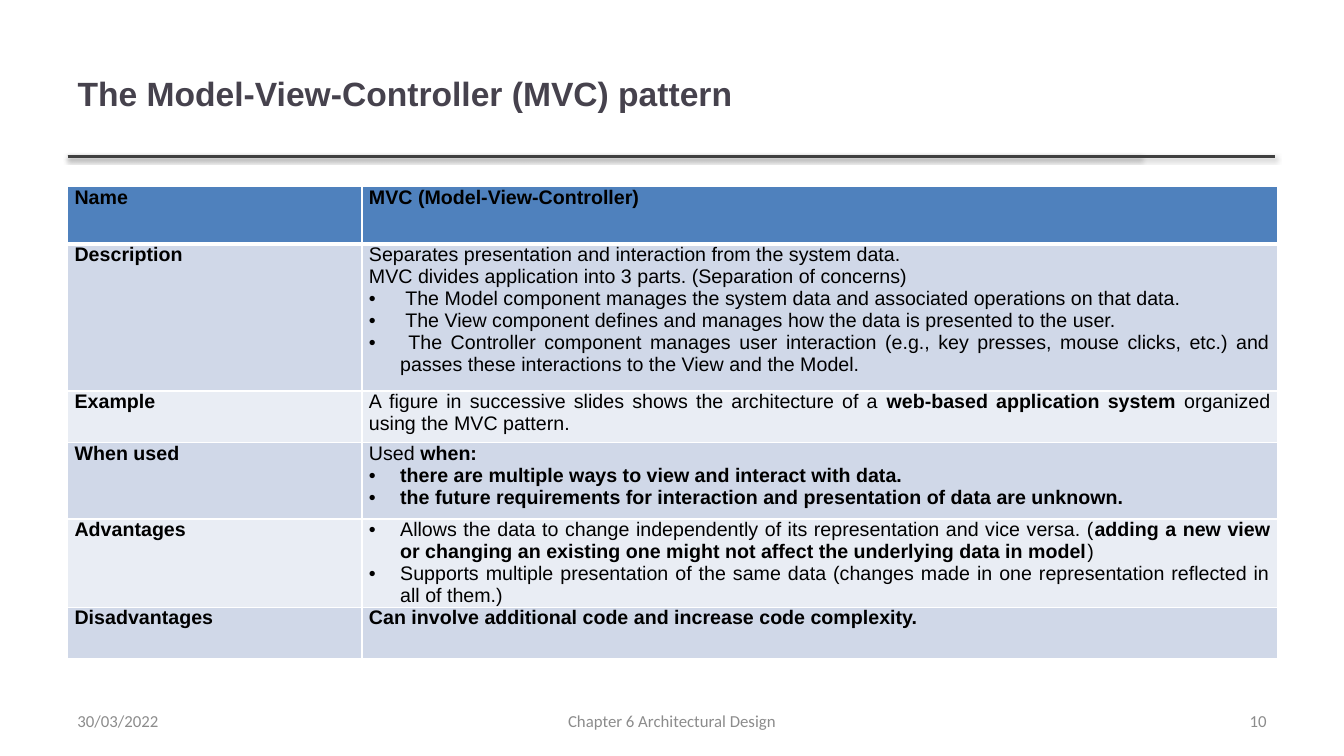
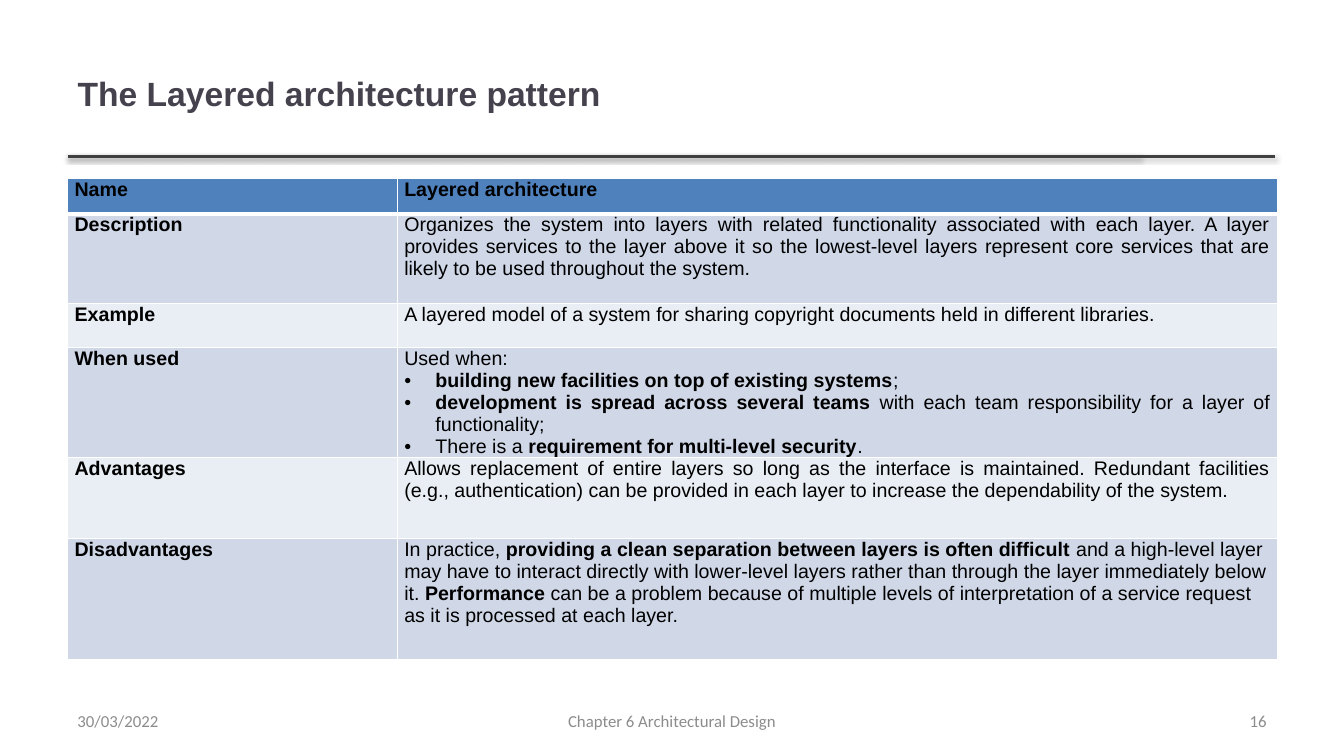
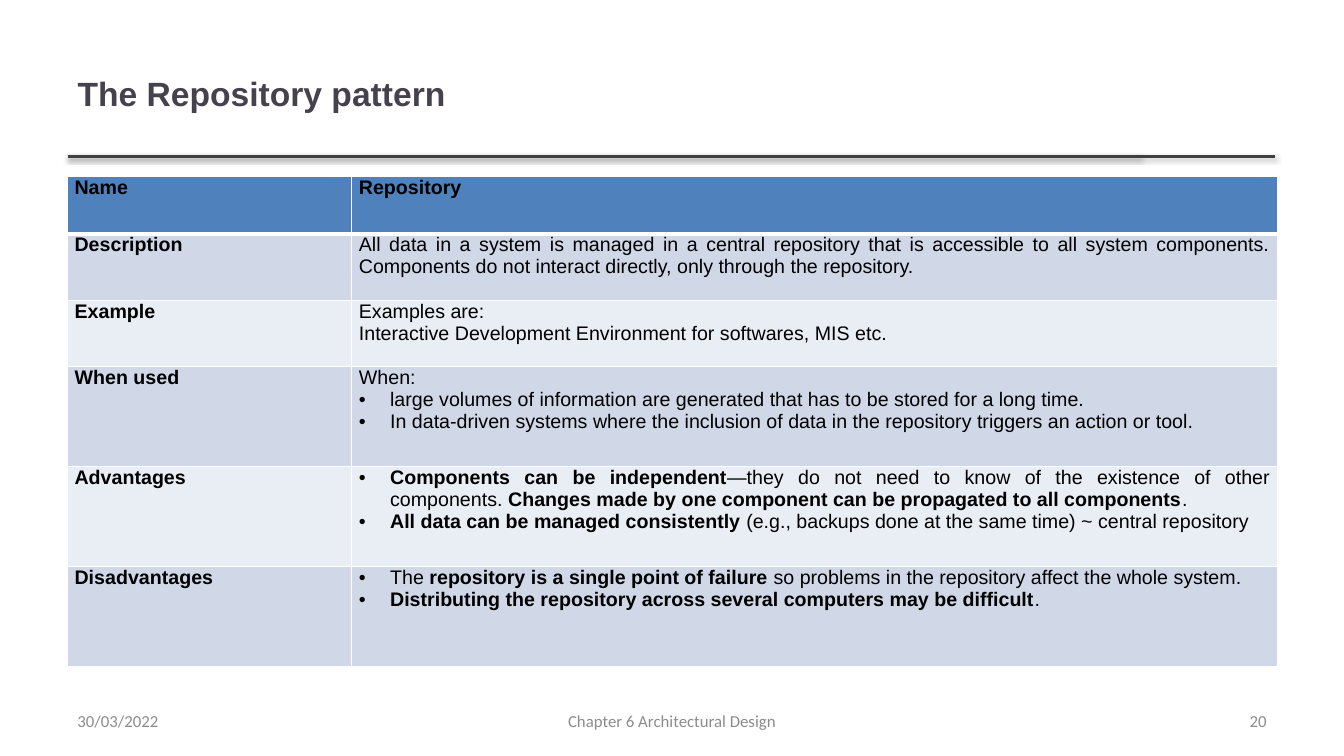
from lxml.etree import SubElement
from pptx import Presentation
from pptx.dml.color import RGBColor
from pptx.enum.shapes import MSO_CONNECTOR
from pptx.enum.text import MSO_ANCHOR, MSO_AUTO_SIZE, PP_ALIGN
from pptx.oxml.ns import qn
from pptx.util import Inches, Pt

BLACK = RGBColor(0x00, 0x00, 0x00)
WHITE = RGBColor(0xFF, 0xFF, 0xFF)
RULE = RGBColor(0x40, 0x40, 0x40)
TITLE = RGBColor(0x46, 0x42, 0x4D)
FOOTER = RGBColor(0x8C, 0x8C, 0x8C)
HEADER = RGBColor(0x4F, 0x81, 0xBD)
BANDS = [RGBColor(0xE9, 0xED, 0xF4), RGBColor(0xD0, 0xD8, 0xE8)]

WIDTH, HEIGHT = 13.33, 7.5
MARGIN, CONTENT = 0.67, 12
RULE_TOP, FOOTER_TOP = 1.55, 6.95
HANGING = 0.31
LABELS = ["Name", "Description", "Example", "When used", "Advantages", "Disadvantages"]
DATE, CHAPTER = "30/03/2022", "Chapter 6 Architectural Design"

# Bold is set between asterisks; a leading bullet or "<" sets a list item or left alignment.
PATTERNS = [
    {
        "title": "The Model-View-Controller (MVC) pattern", "number": "10",
        "top": 1.85, "label_width": 2.92,
        "rows": [0.57, 1.46, 0.51, 0.76, 0.76, 0.51],
        "cells": [
            ["*MVC (Model-View-Controller)*"],
            ["Separates presentation and interaction from the system data.",
             "MVC divides application into 3 parts. (Separation of concerns)",
             "•  The Model component manages the system data and associated operations on that data.",
             "•  The View component defines and manages how the data is presented to the user.",
             "•  The Controller component manages user interaction (e.g., key presses, mouse clicks, "
             "etc.) and passes these interactions to the View and the Model. "],
            ["A figure in successive slides shows the architecture of a "
             "*web-based application system *organized using the MVC pattern."],
            ["Used *when:*",
             "• *there are multiple ways to view and interact with data. *",
             "• *the future requirements for interaction and presentation of data are unknown. *"],
            ["• Allows the data to change independently of its representation and vice versa. "
             "(*adding a new view or changing an existing one might not affect the underlying "
             "data in model*)",
             "• Supports multiple presentation of the same data (changes made in one "
             "representation reflected in all of them.)"],
            ["*Can involve additional code and increase code complexity.*"],
        ],
    },
    {
        "title": "The Layered architecture pattern", "number": "16",
        "top": 1.77, "label_width": 3.27,
        "rows": [0.35, 0.89, 0.44, 0.8, 0.8, 1.2],
        "cells": [
            ["*Layered architecture*"],
            ["Organizes the system into layers with related functionality associated with each "
             "layer. A layer provides services to the layer above it so the lowest-level layers "
             "represent core services that are likely to be used throughout the system."],
            ["A layered model of a system for sharing copyright documents held in different "
             "libraries."],
            ["Used when:",
             "• *building new facilities on top of existing systems*;",
             "• *development is spread across several teams* with each team responsibility for a "
             "layer of functionality; ",
             "• There is a *requirement for multi-level security*."],
            ["Allows replacement of entire layers so long as the interface is maintained. "
             "Redundant facilities (e.g., authentication) can be provided in each layer to "
             "increase the dependability of the system."],
            ["<In practice, *providing a clean separation between layers is often difficult* and "
             "a high-level layer may have to interact directly with lower-level layers rather "
             "than through the layer immediately below it. *Performance* can be a problem because "
             "of multiple levels of interpretation of a service request as it is processed at "
             "each layer."],
        ],
    },
    {
        "title": "The Repository pattern", "number": "20",
        "top": 1.75, "label_width": 2.82,
        "rows": [0.57, 0.66, 0.66, 0.99, 0.99, 0.99],
        "cells": [
            ["*Repository *"],
            ["All data in a system is managed in a central repository that is accessible to all "
             "system components. Components do not interact directly, only through the "
             "repository. "],
            ["Examples are:",
             "Interactive Development Environment for softwares, MIS etc."],
            ["When:",
             "• large volumes of information are generated that has to be stored for a long time. ",
             "• In data-driven systems where the inclusion of data in the repository triggers an "
             "action or tool."],
            ["• *Components can be independent*—they do not need to know of the existence of other "
             "components. *Changes made by one component can be propagated to all components*. ",
             "• *All data can be managed consistently* (e.g., backups done at the same time) ~ "
             "central repository"],
            ["• The *repository is a single point of failure *so problems in the repository affect "
             "the whole system.",
             "• *Distributing the repository across several computers may be difficult*."],
        ],
    },
]


def add_run(p, text, size, color, font="Arial", bold=False):
    """Append one formatted run to a paragraph."""
    r = p.add_run()
    r.text = text
    r.font.name, r.font.size, r.font.bold = font, Pt(size), bold
    r.font.color.rgb = color


def add_rule(s, right):
    """Draw a shadowed rule from the left margin to the given position."""
    line = s.shapes.add_connector(MSO_CONNECTOR.STRAIGHT, Inches(MARGIN), Inches(RULE_TOP),
                                  Inches(right), Inches(RULE_TOP))
    line.line.color.rgb, line.line.width = RULE, Pt(2)
    effects = SubElement(line._element.spPr, qn("a:effectLst"))
    shadow = SubElement(effects, qn("a:outerShdw"), blurRad=str(Pt(3.1)), dist=str(Pt(1.6)),
                        dir="5400000", rotWithShape="0")
    color = SubElement(shadow, qn("a:srgbClr"), val=str(BLACK))
    SubElement(color, qn("a:alpha"), val="38000")


def set_title(s, text):
    """Place and format the title placeholder."""
    sp = s.shapes.title
    sp.left, sp.top, sp.width, sp.height = map(Inches, (MARGIN, 0.3, 10.63, 1.25))
    tf = sp.text_frame
    tf.auto_size, tf.vertical_anchor = MSO_AUTO_SIZE.NONE, MSO_ANCHOR.MIDDLE
    p = tf.paragraphs[0]
    p.alignment = PP_ALIGN.LEFT
    add_run(p, text, 24, TITLE, bold=True)


def add_footer(s, text, left, width, align):
    """Add one footer field."""
    sp = s.shapes.add_textbox(Inches(left), Inches(FOOTER_TOP), Inches(width), Inches(0.4))
    tf = sp.text_frame
    tf.word_wrap, tf.vertical_anchor = True, MSO_ANCHOR.MIDDLE
    p = tf.paragraphs[0]
    p.alignment = align
    add_run(p, text, 12, FOOTER, font="Calibri")


def set_bullet(p):
    """Give a paragraph a hanging bullet."""
    pPr = p._p.get_or_add_pPr()
    pPr.set("marL", str(Inches(HANGING)))
    pPr.set("indent", str(-Inches(HANGING)))
    SubElement(pPr, qn("a:buFont"), typeface="Arial")
    SubElement(pPr, qn("a:buChar"), char="•")


def set_borders(cell, top, bottom):
    """Draw white borders around a cell."""
    tcPr = cell._tc.get_or_add_tcPr()
    for side, width in (("L", 1), ("R", 1), ("T", top), ("B", bottom)):
        ln = SubElement(tcPr, qn(f"a:ln{side}"), w=str(Pt(width)))
        fill = SubElement(ln, qn("a:solidFill"))
        SubElement(fill, qn("a:srgbClr"), val=str(WHITE))


def fill_cell(cell, row, lines):
    """Format a cell and write its marked-up lines."""
    set_borders(cell, 3 if row == 1 else 1, 3 if row == 0 else 1)
    cell.fill.solid()
    cell.fill.fore_color.rgb = BANDS[row % 2] if row else HEADER
    cell.margin_left = cell.margin_right = Inches(0.07)
    cell.margin_top = cell.margin_bottom = 0
    tf = cell.text_frame
    for i, line in enumerate(lines):
        p = tf.add_paragraph() if i else tf.paragraphs[0]
        p.alignment = PP_ALIGN.LEFT if line.startswith("<") else PP_ALIGN.JUSTIFY
        if line.startswith("•"):
            set_bullet(p)
        text = line.removeprefix("<").removeprefix("• ")
        for k, part in enumerate(text.split("*")):
            if part:
                add_run(p, part, 14, BLACK, bold=k % 2 == 1)


def add_pattern_table(s, pattern):
    """Add the table that describes a pattern."""
    heights = pattern["rows"]
    table = s.shapes.add_table(len(LABELS), 2, Inches(MARGIN), Inches(pattern["top"]),
                               Inches(CONTENT), Inches(sum(heights))).table
    table.columns[0].width = Inches(pattern["label_width"])
    table.columns[1].width = Inches(CONTENT - pattern["label_width"])
    for row, (label, height, lines) in enumerate(zip(LABELS, heights, pattern["cells"])):
        table.rows[row].height = Inches(height)
        fill_cell(table.cell(row, 0), row, [f"*{label}*"])
        fill_cell(table.cell(row, 1), row, lines)


def add_pattern_slide(prs, pattern):
    """Build one slide with rules, title, table and footer."""
    s = prs.slides.add_slide(prs.slide_layouts[5])
    for right in (11.32, 12.65):
        add_rule(s, right)
    set_title(s, pattern["title"])
    add_pattern_table(s, pattern)
    side, middle = 3.11, 4.22
    add_footer(s, CHAPTER, (WIDTH - middle) / 2, middle, PP_ALIGN.CENTER)
    add_footer(s, pattern["number"], WIDTH - MARGIN - side, side, PP_ALIGN.RIGHT)
    add_footer(s, DATE, MARGIN, side, PP_ALIGN.LEFT)


def main():
    """Build and save the presentation."""
    prs = Presentation()
    prs.slide_width, prs.slide_height = Inches(WIDTH), Inches(HEIGHT)
    for pattern in PATTERNS:
        add_pattern_slide(prs, pattern)
    prs.save("out.pptx")


if __name__ == "__main__":
    main()
